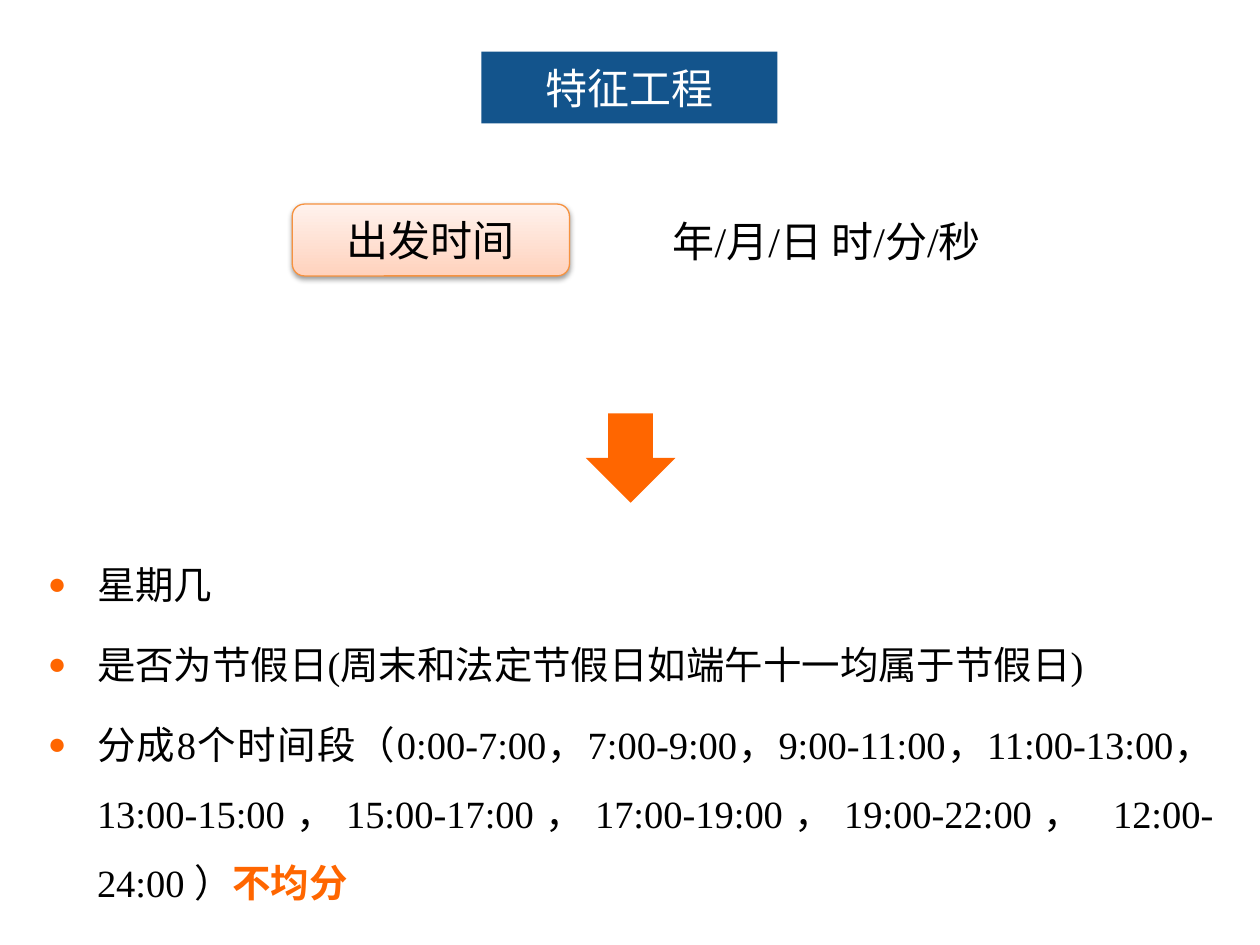
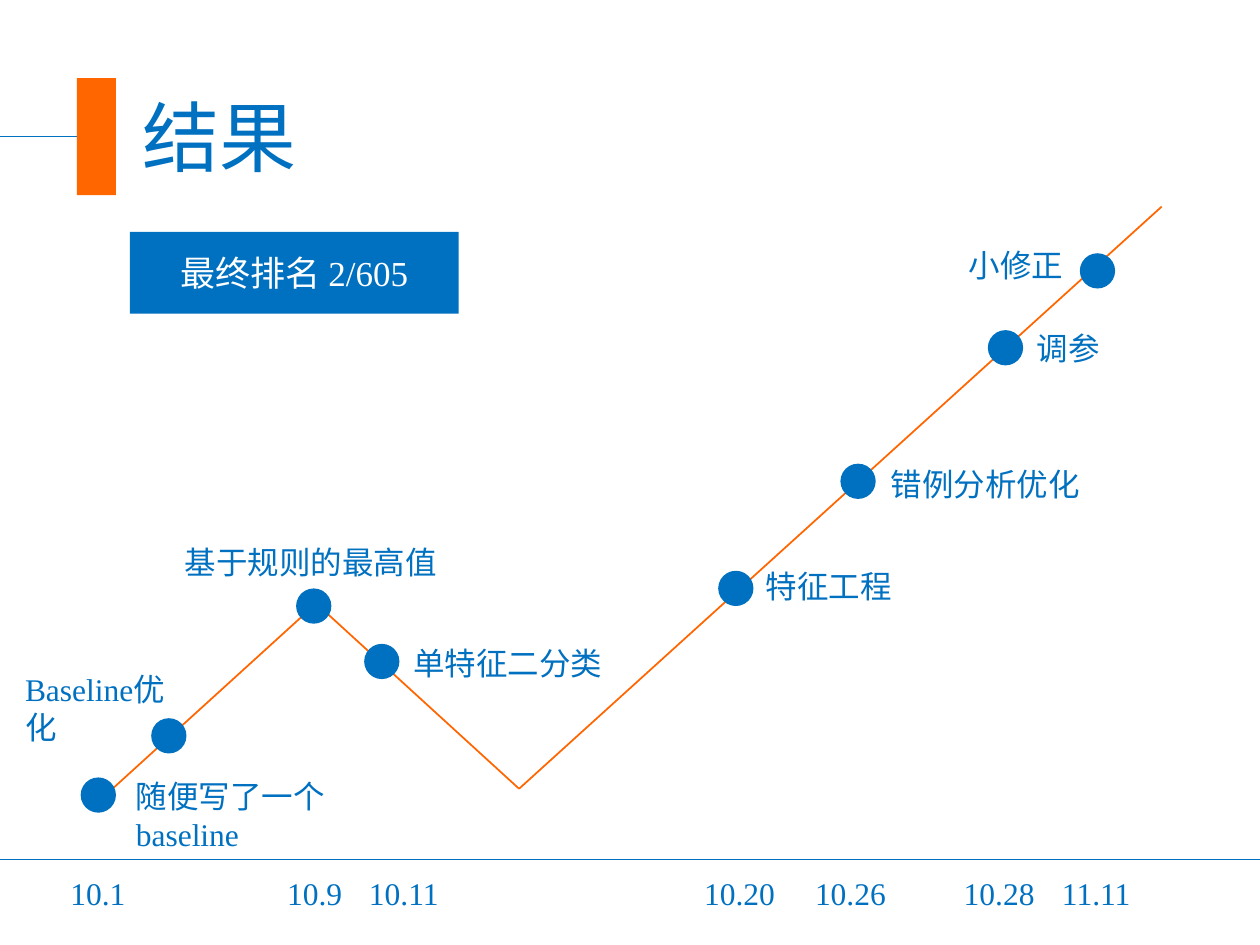
from dataclasses import dataclass
from itertools import pairwise
from lxml.etree import SubElement
from pptx import Presentation
from pptx.dml.color import RGBColor
from pptx.enum.shapes import MSO_CONNECTOR as Connector, MSO_SHAPE as Preset
from pptx.enum.text import MSO_ANCHOR as Anchor, MSO_AUTO_SIZE as AutoSize, PP_ALIGN as Align
from pptx.oxml.ns import qn
from pptx.util import Inches, Pt


@dataclass(frozen=True)
class Theme:
    font: str = "Times New Roman"
    black: str = "000000"
    white: str = "FFFFFF"
    blue: str = "0070C0"
    navy: str = "13548C"
    orange: str = "FF6600"
    peach: str = "FFD2BD"
    cream: str = "FFF2ED"
    peach_line: str = "F69240"
    heading: int = 44
    topic: int = 24
    bullet: int = 22
    badge: int = 20
    label: int = 18


@dataclass(frozen=True)
class Box:
    left: float
    top: float
    width: float
    height: float

    def inner(self, left, top, width, height):
        return Box(self.left + left, self.top + top, width, height)

    def point(self, x, y):
        return self.left + x, self.top + y

    def lengths(self):
        return [Inches(v) for v in (self.left, self.top, self.width, self.height)]


THEME = Theme()
DOT = 0.28


def rgb(value):
    return RGBColor.from_string(value)


def element(parent, tag, **attributes):
    return SubElement(parent, qn(tag), {name: str(v) for name, v in attributes.items()})


def move(shape, box):
    shape.left, shape.top, shape.width, shape.height = box.lengths()


def add_span(para, text, size, color, bold=False):
    span = para.add_run()
    span.text = text
    span.font.name = THEME.font
    span.font.size = Pt(size)
    span.font.bold = bold
    span.font.color.rgb = rgb(color)


def write(shape, text, size, color, align=Align.LEFT, anchor=Anchor.TOP):
    frame = shape.text_frame
    frame.word_wrap = True
    frame.auto_size = AutoSize.NONE
    frame.vertical_anchor = anchor
    para = frame.paragraphs[0]
    para.alignment = align
    add_span(para, text, size, color)


def add_text(page, box, text, size, color):
    write(page.shapes.add_textbox(*box.lengths()), text, size, color)


def add_block(page, preset, box, color):
    shape = page.shapes.add_shape(preset, *box.lengths())
    shape.shadow.inherit = False
    shape.fill.solid()
    shape.fill.fore_color.rgb = rgb(color)
    shape.line.fill.background()
    return shape


def add_line(page, start, end, color, width):
    ends = [Inches(v) for v in (*start, *end)]
    line = page.shapes.add_connector(Connector.STRAIGHT, *ends)
    line.line.color.rgb = rgb(color)
    line.line.width = Pt(width)
    element(line._element.spPr, "a:effectLst")


def add_pill_title(page, box, text):
    title = page.shapes.title
    move(title, box)
    outline = element(title._element.spPr, "a:prstGeom", prst="roundRect")
    element(element(outline, "a:avLst"), "a:gd", name="adj", fmla="val 50000")
    title.fill.solid()
    title.fill.fore_color.rgb = rgb(THEME.navy)
    title.text_frame.margin_top = title.text_frame.margin_bottom = 0
    write(title, text, THEME.topic, THEME.white, Align.CENTER, Anchor.MIDDLE)


def add_marked_title(page, box, text):
    marker = box.inner(0.61, 0, 0.31, box.height)
    middle = 0.46
    add_line(page, box.point(0, middle), box.point(0.61, middle), THEME.blue, 0.5)
    add_block(page, Preset.RECTANGLE, marker, THEME.orange)
    title = page.shapes.title
    move(title, box.inner(1.03, 0.04, box.width - 1.03, 0.84))
    write(title, text, THEME.heading, THEME.blue, anchor=Anchor.MIDDLE)


def add_source_feature(page, box, name, form):
    card = add_block(page, Preset.ROUNDED_RECTANGLE, box.inner(0, 0, 2.2, 0.57), THEME.peach)
    card.fill.gradient()
    card.fill.gradient_angle = 90
    for stop, color, position in zip(card.fill.gradient_stops, (THEME.peach, THEME.cream), (0, 1)):
        stop.color.rgb = rgb(color)
        stop.position = position
    card.line.color.rgb = rgb(THEME.peach_line)
    card.line.width = Pt(0.75)
    effects = card._element.spPr.find(qn("a:effectLst"))
    shadow = element(effects, "a:outerShdw", blurRad=Pt(3.1), dist=Pt(1.6), dir=5400000, rotWithShape=0)
    element(element(shadow, "a:srgbClr", val=THEME.black), "a:alpha", val=38000)
    write(card, name, THEME.topic, THEME.black, Align.CENTER, Anchor.MIDDLE)
    add_text(page, box.inner(2.92, 0.04, 3.39, 0.5), form, THEME.topic, THEME.black)


def format_bullet(para):
    settings = para._p.get_or_add_pPr()
    settings.set("marL", str(Inches(0.39)))
    settings.set("indent", str(-Inches(0.39)))
    element(element(settings, "a:buClr"), "a:srgbClr", val=THEME.orange)
    element(settings, "a:buSzPct", val=80000)
    element(settings, "a:buFont", typeface=THEME.font)
    element(settings, "a:buChar", char="●")
    para.alignment = Align.JUSTIFY
    para.line_spacing = 1.5


def add_bullets(page, box, items):
    body = page.placeholders[1]
    move(body, box)
    frame = body.text_frame
    frame.word_wrap = True
    frame.auto_size = AutoSize.NONE
    for index, (text, emphasis) in enumerate(items):
        para = frame.add_paragraph() if index else frame.paragraphs[0]
        format_bullet(para)
        para.space_before = Pt(6 if index else 0)
        add_span(para, text, THEME.bullet, THEME.black)
        if emphasis:
            add_span(para, emphasis, THEME.bullet, THEME.orange, bold=True)


def add_progress(page, box, turns, milestones):
    for start, end in pairwise(turns):
        add_line(page, box.point(*start), box.point(*end), THEME.orange, 1)
    for x, y, text, shift_x, shift_y, width in milestones:
        add_block(page, Preset.OVAL, box.inner(x, y, DOT, DOT), THEME.blue)
        label = box.inner(x + shift_x, y + shift_y, width, 0.4)
        add_text(page, label, text, THEME.label, THEME.blue)


def add_date_axis(page, box, dates):
    add_line(page, box.point(0, 0), box.point(box.width, 0), THEME.blue, 0.5)
    for left, date in dates:
        add_text(page, box.inner(left, 0.07, 0.85, 0.4), date, THEME.label, THEME.blue)


def build_feature_page(deck):
    page = deck.slides.add_slide(deck.slide_layouts[1])
    add_pill_title(page, Box(3.82, 0.41, 2.35, 0.57), "特征工程")
    add_source_feature(page, Box(2.32, 1.62, 6.31, 0.57), "出发时间", "年/月/日 时/分/秒")
    add_block(page, Preset.DOWN_ARROW, Box(4.65, 3.28, 0.71, 0.71), THEME.orange)
    periods = (
        "分成8个时间段（0:00-7:00，7:00-9:00，9:00-11:00，11:00-13:00， "
        "13:00-15:00，15:00-17:00，17:00-19:00，19:00-22:00， 12:00-24:00 ）"
    )
    add_bullets(page, Box(0.28, 4.22, 9.45, 2.98), [
        ("星期几", ""),
        ("是否为节假日(周末和法定节假日如端午十一均属于节假日)", ""),
        (periods, "不均分"),
    ])


def build_result_page(deck):
    page = deck.slides.add_slide(deck.slide_layouts[5])
    add_marked_title(page, Box(0, 0.62, 9.6, 0.93), "结果")
    badge = add_block(page, Preset.RECTANGLE, Box(1.03, 1.84, 2.61, 0.65), THEME.blue)
    write(badge, "最终排名 2/605", THEME.badge, THEME.white, Align.CENTER, Anchor.MIDDLE)
    turns = [(0.75, 4.75), (2.51, 3.15), (4.12, 4.62), (9.22, 0)]
    milestones = [
        (0.64, 4.53, "随便写了一个baseline", 0.34, -0.05, 1.75),
        (1.2, 4.06, "Baseline优化", -1.1, -0.43, 1.45),
        (2.35, 3.03, "基于规则的最高值", -0.98, -0.41, 2.3),
        (2.89, 3.47, "单特征二分类", 0.29, -0.05, 1.8),
        (5.7, 2.89, "特征工程", 0.28, -0.08, 1.3),
        (6.67, 2.04, "错例分析优化", 0.3, -0.04, 1.8),
        (7.84, 0.98, "调参", 0.29, -0.06, 0.8),
        (8.57, 0.37, "小修正", -0.98, -0.11, 1.05),
    ]
    add_progress(page, Box(0, 1.64, 10, 5.18), turns, milestones)
    dates = [
        (0.46, "10.1"), (2.18, "10.9"), (2.83, "10.11"), (5.49, "10.20"),
        (6.37, "10.26"), (7.55, "10.28"), (8.33, "11.11"),
    ]
    add_date_axis(page, Box(0, 6.82, 10, 0.5), dates)


def main():
    deck = Presentation()
    deck.slide_width, deck.slide_height = Inches(10), Inches(7.5)
    build_feature_page(deck)
    build_result_page(deck)
    deck.save("out.pptx")


if __name__ == "__main__":
    main()
